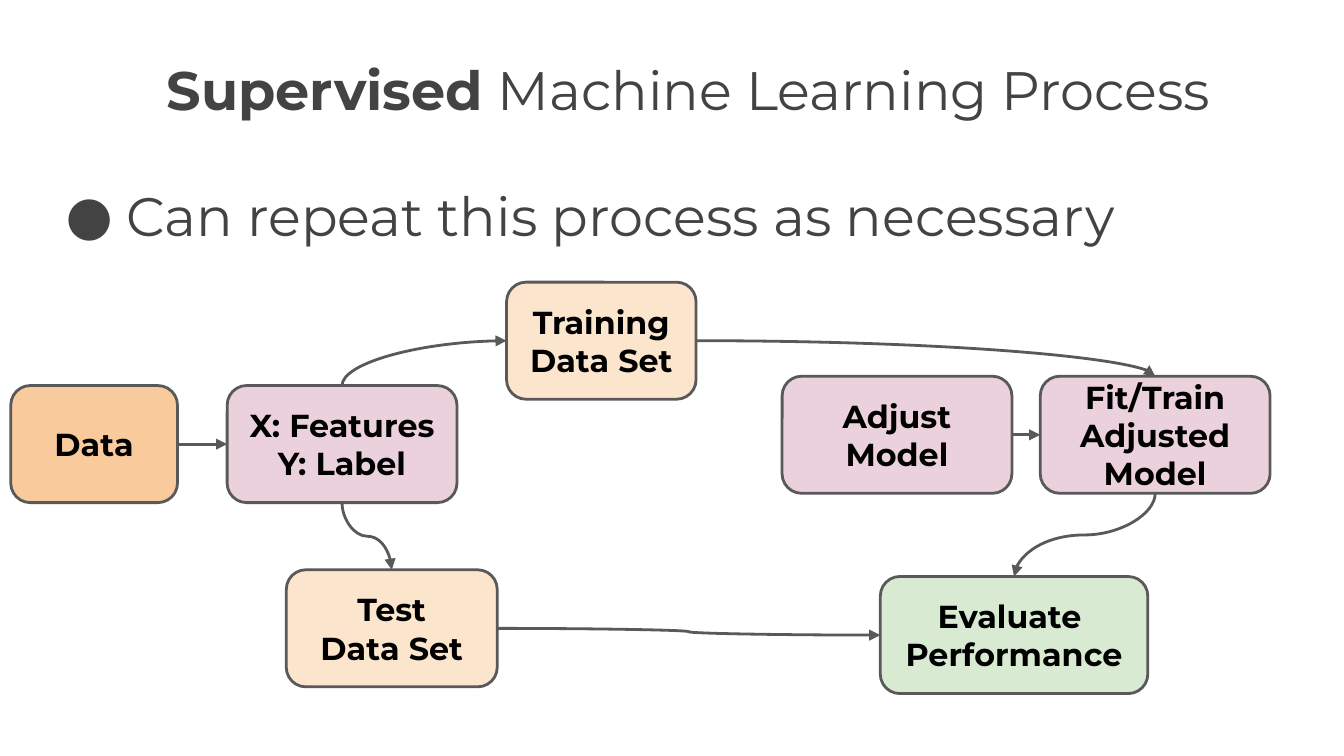
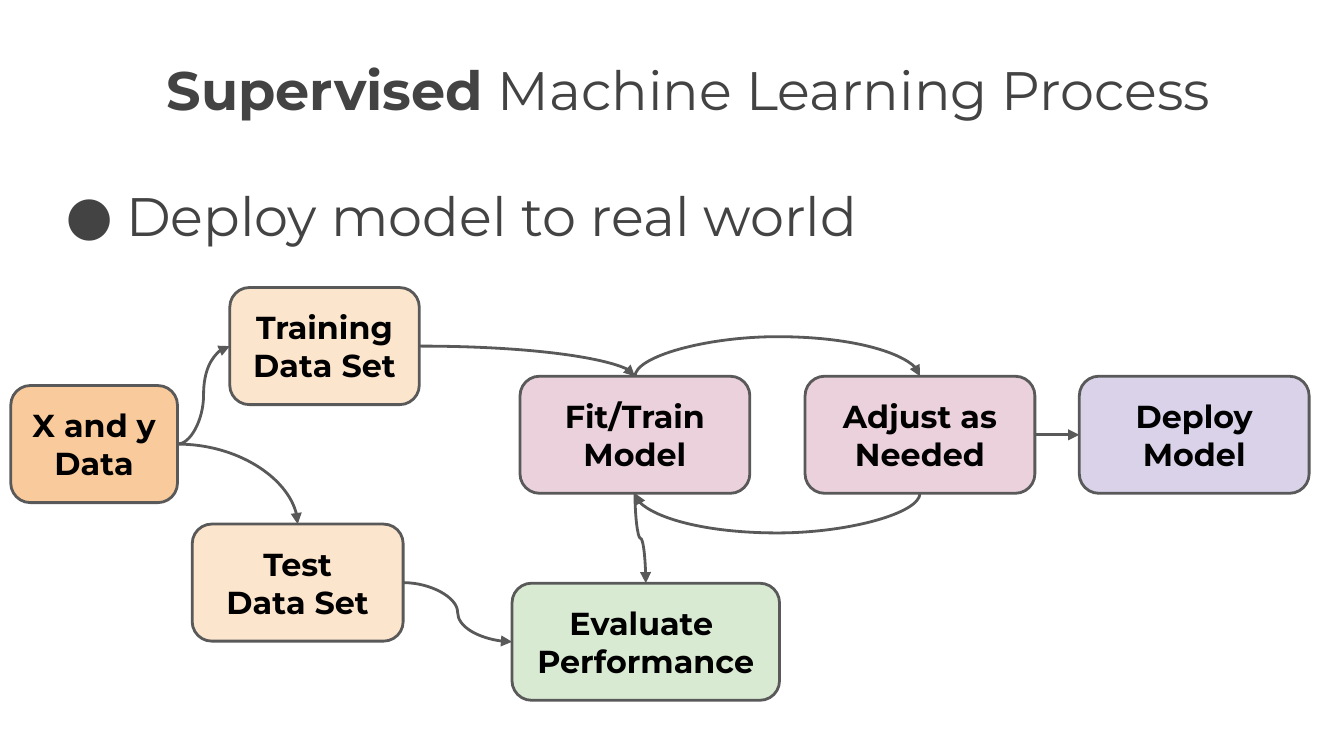
from collections import namedtuple
from lxml.etree import SubElement
from pptx import Presentation
from pptx.dml.color import RGBColor
from pptx.enum.shapes import MSO_CONNECTOR, MSO_SHAPE
from pptx.enum.text import MSO_ANCHOR, MSO_AUTO_SIZE, PP_ALIGN
from pptx.oxml.ns import qn
from pptx.util import Pt

Box = namedtuple("Box", "left top width height")
Kind = namedtuple("Kind", "fill width")
Stage = namedtuple("Stage", "kind left top lines")
Arrow = namedtuple("Arrow", "source exit target entry")

FONT = "Montserrat"
GREY, OUTLINE, BLACK = "434343", "595959", "000000"
HEADING_SIZE, STAGE_SIZE = 29, 17
INSET = 7.2
STAGE_HEIGHT = 62.7
LOOP_RISE, LOOP_SPAN = 18.75, 0.05

TOP, LEFT, BOTTOM, RIGHT = range(4)
HEADINGS = {TOP: 270, LEFT: 180, BOTTOM: 90, RIGHT: 0}

TITLE_BOX = Box(82.1, 23, 613.4, 45.4)
BULLET_BOX = Box(24.5, 90.7, 695.5, 53.3)
FLOW_BOX = Box(5.8, 151.2, 714.2, 230)

KINDS = {
    "data": Kind("F9CB9C", 89.3),
    "training": Kind("FCE5CD", 101.5),
    "test": Kind("FCE5CD", 113),
    "model": Kind("EAD1DC", 123.1),
    "evaluate": Kind("D9EAD3", 143.3),
    "deploy": Kind("D9D2E9", 123.1),
}

REPEAT_STAGES = {
    "data": Stage("data", 0, 55.4, ["Data"]),
    "features": Stage("model", 115.9, 55.4, ["X: Features", "Y: Label"]),
    "training": Stage("training", 265.6, 0, ["Training Data Set"]),
    "test": Stage("test", 147.6, 154.1, ["Test", "Data Set"]),
    "adjust": Stage("model", 413.2, 50.4, ["Adjust", "Model"]),
    "fit": Stage("model", 551.5, 50.4, ["Fit/Train Adjusted Model"]),
    "evaluate": Stage("evaluate", 465.8, 157.7, ["Evaluate ", "Performance"]),
}
REPEAT_ARROWS = [
    Arrow("features", BOTTOM, "test", TOP),
    Arrow("features", TOP, "training", LEFT),
    Arrow("training", RIGHT, "fit", TOP),
    Arrow("adjust", RIGHT, "fit", LEFT),
    Arrow("fit", BOTTOM, "evaluate", TOP),
    Arrow("test", RIGHT, "evaluate", LEFT),
]

DEPLOY_STAGES = {
    "data": Stage("data", 0, 55.4, ["X and y", "Data"]),
    "training": Stage("training", 117.3, 2.9, ["Training Data Set"]),
    "test": Stage("test", 97.2, 129.6, ["Test", "Data Set"]),
    "fit": Stage("model", 272.8, 50.4, ["Fit/Train", "Model"]),
    "adjust": Stage("model", 425.5, 50.4, ["Adjust as Needed"]),
    "evaluate": Stage("evaluate", 268.5, 161.3, ["Evaluate ", "Performance"]),
    "deploy": Stage("deploy", 572.4, 50.4, ["Deploy", "Model"]),
}
DEPLOY_ARROWS = [
    Arrow("data", RIGHT, "test", TOP),
    Arrow("data", RIGHT, "training", LEFT),
    Arrow("training", RIGHT, "fit", TOP),
    Arrow("fit", BOTTOM, "evaluate", TOP),
    Arrow("test", RIGHT, "evaluate", LEFT),
    Arrow("fit", TOP, "adjust", TOP),
    Arrow("adjust", BOTTOM, "fit", BOTTOM),
    Arrow("adjust", RIGHT, "deploy", LEFT),
]


def colour(value):
    """Turn a hex string into a colour."""
    return RGBColor.from_string(value)


def place(shape, box):
    """Move and size a shape to a box given in points."""
    shape.left, shape.top, shape.width, shape.height = map(Pt, box)


def prepare_frame(shape, anchor):
    """Set wrapping, insets and anchor of a shape's text and return its frame."""
    frame = shape.text_frame
    frame.word_wrap = True
    frame.auto_size = MSO_AUTO_SIZE.NONE
    frame.vertical_anchor = anchor
    frame.margin_left = frame.margin_right = Pt(INSET)
    frame.margin_top = frame.margin_bottom = Pt(INSET)
    return frame


def add_run(paragraph, text, size, hex_colour, bold=False):
    """Add one formatted run."""
    run = paragraph.add_run()
    run.text = text
    run.font.name = FONT
    run.font.size = Pt(size)
    run.font.bold = bold
    run.font.color.rgb = colour(hex_colour)


def add_title(slide, box):
    """Fill the title placeholder with the shared heading."""
    place(slide.shapes.title, box)
    paragraph = prepare_frame(slide.shapes.title, MSO_ANCHOR.TOP).paragraphs[0]
    paragraph.alignment = PP_ALIGN.LEFT
    paragraph.space_after = Pt(16)
    add_run(paragraph, "Supervised", HEADING_SIZE, GREY, True)
    add_run(paragraph, " Machine Learning Process", HEADING_SIZE, GREY)


def add_bullet(slide, box, text):
    """Add the bulleted statement under the title."""
    statement = slide.shapes.add_textbox(*map(Pt, box))
    paragraph = prepare_frame(statement, MSO_ANCHOR.TOP).paragraphs[0]
    properties = paragraph._p.get_or_add_pPr()
    properties.set("marL", str(Pt(36)))
    properties.set("indent", str(Pt(-32.4)))
    bullet_colour = SubElement(properties, qn("a:buClr"))
    SubElement(bullet_colour, qn("a:srgbClr"), val=GREY)
    SubElement(properties, qn("a:buFont"), typeface=FONT)
    SubElement(properties, qn("a:buChar"), char="●")
    add_run(paragraph, text, HEADING_SIZE, GREY)


def add_stage(slide, box, stage):
    """Add one rounded stage, offset from the flow's box."""
    kind = KINDS[stage.kind]
    bounds = (box.left + stage.left, box.top + stage.top, kind.width, STAGE_HEIGHT)
    block = slide.shapes.add_shape(MSO_SHAPE.ROUNDED_RECTANGLE, *map(Pt, bounds))
    block.shadow.inherit = False
    block.fill.solid()
    block.fill.fore_color.rgb = colour(kind.fill)
    block.line.color.rgb = colour(OUTLINE)
    block.line.width = Pt(1.5)
    frame = prepare_frame(block, MSO_ANCHOR.MIDDLE)
    for index, line in enumerate(stage.lines):
        paragraph = frame.add_paragraph() if index else frame.paragraphs[0]
        paragraph.alignment = PP_ALIGN.CENTER
        add_run(paragraph, line, STAGE_SIZE, BLACK, True)
    return block


def add_arrow(slide, blocks, arrow, style=MSO_CONNECTOR.CURVE):
    """Join two stages with an arrow."""
    connector = slide.shapes.add_connector(style, 0, 0, 0, 0)
    connector.begin_connect(blocks[arrow.source], arrow.exit)
    connector.end_connect(blocks[arrow.target], arrow.entry)
    connector.line.color.rgb = colour(OUTLINE)
    connector.line.width = Pt(1.5)
    SubElement(connector.line._get_or_add_ln(), qn("a:tailEnd"), type="triangle")
    SubElement(connector._element.spPr, qn("a:effectLst"))
    if style == MSO_CONNECTOR.CURVE:
        bend(connector, arrow)


def bend(connector, arrow):
    """Turn a curved connector so that it leaves and enters the right sides."""
    heading = HEADINGS[arrow.exit]
    across = connector.end_x - connector.begin_x
    down = connector.end_y - connector.begin_y
    centre_x = (connector.begin_x + connector.end_x) // 2
    centre_y = (connector.begin_y + connector.end_y) // 2
    forward, sideways = {
        0: (across, down), 90: (down, -across),
        180: (-across, -down), 270: (-down, across),
    }[heading]
    looped = arrow.exit == arrow.entry
    width = Pt(LOOP_SPAN) if looped else abs(forward)
    height = abs(sideways)
    flipped = sideways < 0
    properties = connector._element.spPr
    transform = properties.find(qn("a:xfrm"))
    transform.set("rot", str((heading + 180 * flipped) % 360 * 60000))
    transform.set("flipH", str(int(flipped)))
    transform.set("flipV", "0")
    connector.left, connector.top = centre_x - width // 2, centre_y - height // 2
    connector.width, connector.height = width, height
    geometry = properties.find(qn("a:prstGeom"))
    if (arrow.exit - arrow.entry) % 2:
        geometry.set("prst", "curvedConnector2")
    elif looped:
        adjustment = round(LOOP_RISE / LOOP_SPAN * 100000)
        SubElement(geometry.find(qn("a:avLst")), qn("a:gd"),
                   name="adj1", fmla=f"val {adjustment}")


def add_flow(slide, box, stages, arrows):
    """Draw the stages of a process and the arrows between them."""
    blocks = {key: add_stage(slide, box, stage) for key, stage in stages.items()}
    for arrow in arrows:
        add_arrow(slide, blocks, arrow)
    return blocks


def add_process_slide(deck, statement, stages, arrows):
    """Add a slide with the title, a statement and a process flow."""
    slide = deck.slides.add_slide(deck.slide_layouts[5])
    add_title(slide, TITLE_BOX)
    add_bullet(slide, BULLET_BOX, statement)
    return slide, add_flow(slide, FLOW_BOX, stages, arrows)


def main():
    """Build and save the deck."""
    deck = Presentation()
    deck.slide_width, deck.slide_height = Pt(720), Pt(405)
    slide, blocks = add_process_slide(
        deck, "Can repeat this process as necessary", REPEAT_STAGES, REPEAT_ARROWS)
    add_arrow(slide, blocks, Arrow("data", RIGHT, "features", LEFT),
              MSO_CONNECTOR.STRAIGHT)
    add_process_slide(
        deck, "Deploy model to real world", DEPLOY_STAGES, DEPLOY_ARROWS)
    deck.save("out.pptx")


if __name__ == "__main__":
    main()
